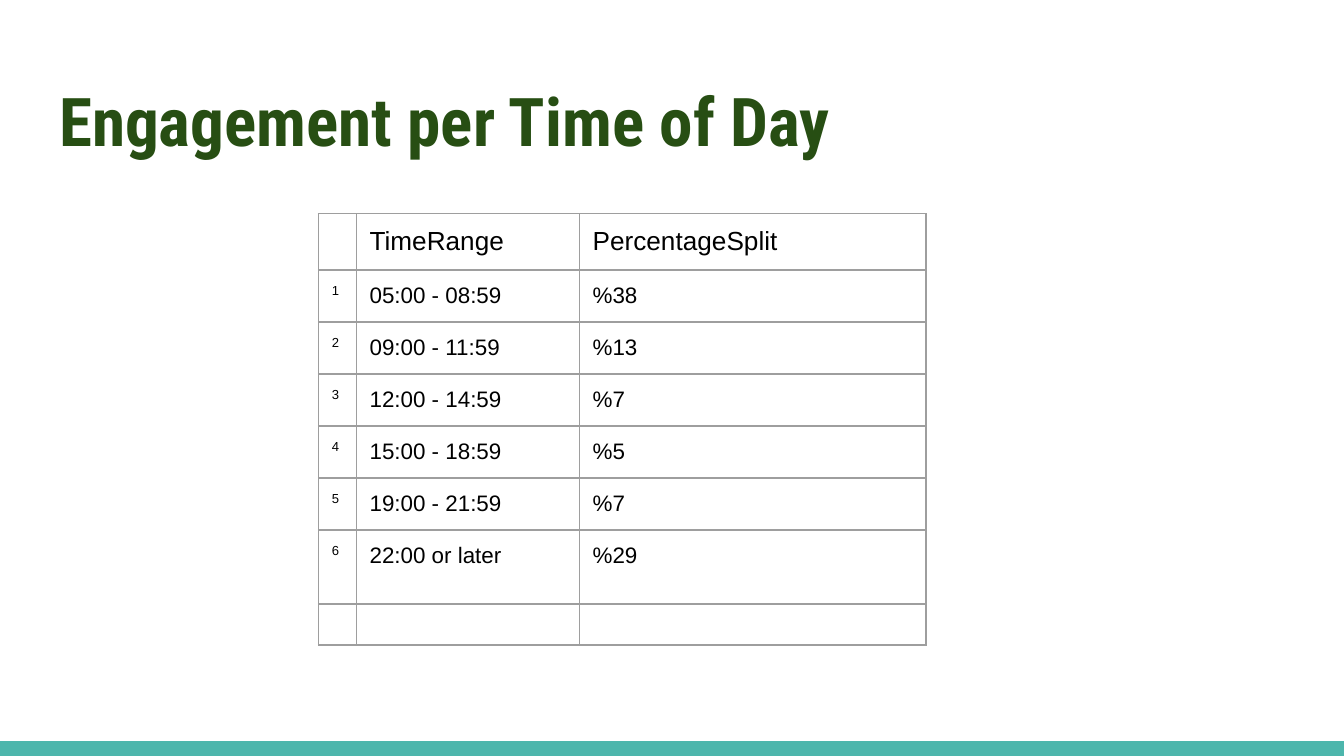
from typing import NamedTuple

from lxml import etree
from pptx import Presentation
from pptx.dml.color import RGBColor
from pptx.enum.shapes import MSO_SHAPE
from pptx.enum.text import MSO_ANCHOR, PP_ALIGN
from pptx.oxml.ns import qn
from pptx.util import Inches, Pt

RECTANGLE = MSO_SHAPE.RECTANGLE
TOP = MSO_ANCHOR.TOP
LEFT = PP_ALIGN.LEFT

TITLE_ONLY_LAYOUT = 5
SLIDE_WIDTH = Inches(10)
SLIDE_HEIGHT = SLIDE_WIDTH * 9 // 16
TEAL, DARK_GREEN, BLACK, GREY = "4DB6AC", "274E13", "000000", "9E9E9E"
BORDER_WIDTH = Pt(0.75)
COLUMN_WIDTHS = (0.28, 1.66, 2.58)


class TableRow(NamedTuple):
    height: float
    texts: tuple[str, str, str] = ("", "", "")
    size: float = 12


TIME_SPLITS = (
    ("05:00 - 08:59", "%38"),
    ("09:00 - 11:59", "%13"),
    ("12:00 - 14:59", "%7"),
    ("15:00 - 18:59", "%5"),
    ("19:00 - 21:59", "%7"),
    ("22:00 or later", "%29"),
)
TABLE_ROWS = [
    TableRow(0.39, ("", "TimeRange", "PercentageSplit"), 14),
    *(
        TableRow(0.55 if number == len(TIME_SPLITS) else 0.36, (str(number), *split))
        for number, split in enumerate(TIME_SPLITS, 1)
    ),
    TableRow(0.3),
]


def color(hex_value: str) -> RGBColor:
    return RGBColor.from_string(hex_value)


def format_font(font, name: str, size: float, hex_value: str, bold: bool = False) -> None:
    font.name = name
    font.size = Pt(size)
    font.bold = bold
    font.color.rgb = color(hex_value)


def set_margins(target, horizontal: float, vertical: float) -> None:
    """Set the inner margins, in inches, of a cell or text frame."""
    target.margin_left = target.margin_right = Inches(horizontal)
    target.margin_top = target.margin_bottom = Inches(vertical)


def add_borders(cell) -> None:
    properties = cell._tc.get_or_add_tcPr()
    for position, side in enumerate(("lnL", "lnR", "lnT", "lnB")):
        line = etree.Element(qn(f"a:{side}"), w=str(BORDER_WIDTH))
        fill = etree.SubElement(line, qn("a:solidFill"))
        etree.SubElement(fill, qn("a:srgbClr"), val=GREY)
        properties.insert(position, line)


def fill_cell(cell, text: str, size: float) -> None:
    cell.fill.background()
    cell.vertical_anchor = TOP
    # Without vertical margins an empty line does not stretch its row.
    set_margins(cell, 0.1, 0.1 if text else 0)
    if text:
        cell.text = text
        format_font(cell.text_frame.paragraphs[0].font, "Arial", size, BLACK)
    add_borders(cell)


def add_title(slide, text: str) -> None:
    title = slide.shapes.title
    title.left, title.top = Inches(0.34), Inches(0.49)
    title.width, title.height = Inches(9.32), Inches(0.77)
    frame = title.text_frame
    frame.text = text
    frame.word_wrap = True
    frame.vertical_anchor = TOP
    set_margins(frame, 0.1, 0.1)
    heading = frame.paragraphs[0]
    heading.alignment = LEFT
    format_font(heading.font, "Roboto Condensed", 36, DARK_GREEN, bold=True)


def add_footer_bar(slide) -> None:
    height = Inches(0.11)
    bar = slide.shapes.add_shape(
        RECTANGLE, 0, SLIDE_HEIGHT - height, SLIDE_WIDTH, height
    )
    bar.shadow.inherit = False
    bar.fill.solid()
    bar.fill.fore_color.rgb = color(TEAL)
    bar.line.fill.background()


def add_engagement_table(slide, rows: list[TableRow]) -> None:
    table = slide.shapes.add_table(
        len(rows), len(COLUMN_WIDTHS), Inches(2.37), Inches(1.59),
        Inches(sum(COLUMN_WIDTHS)), Inches(sum(row.height for row in rows)),
    ).table
    table.first_row = table.horz_banding = False
    for column, width in zip(table.columns, COLUMN_WIDTHS):
        column.width = Inches(width)
    for table_row, row in zip(table.rows, rows):
        table_row.height = Inches(row.height)
        sizes = (7, row.size, row.size)
        for cell, text, size in zip(table_row.cells, row.texts, sizes):
            fill_cell(cell, text, size)


def main() -> None:
    presentation = Presentation()
    presentation.slide_width = SLIDE_WIDTH
    presentation.slide_height = SLIDE_HEIGHT
    slide = presentation.slides.add_slide(presentation.slide_layouts[TITLE_ONLY_LAYOUT])
    add_footer_bar(slide)
    add_title(slide, "Engagement per Time of Day")
    add_engagement_table(slide, TABLE_ROWS)
    presentation.save("out.pptx")


if __name__ == "__main__":
    main()
